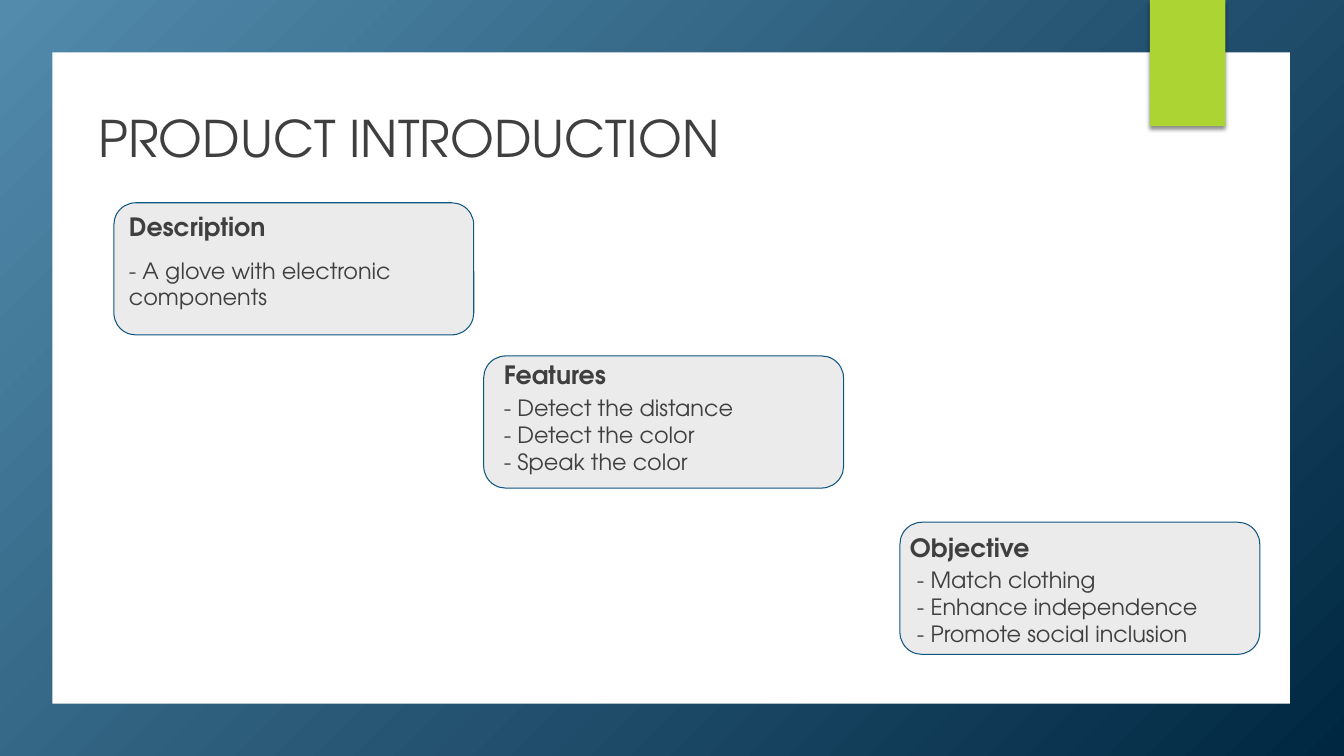
import pptx
import pptx.dml.color
import pptx.enum.shapes
import pptx.enum.text
import pptx.oxml.ns
import pptx.util
from lxml import etree
from pptx.util import Cm

FONT = "TeX Gyre Adventor"
COLORS = {
    "light_blue": "528BAC",
    "dark_blue": "002742",
    "panel": "FFFFFF",
    "ribbon": "ACD433",
    "card": "EBEBEB",
    "card_line": "0E5580",
    "text": "3F3F3F",
    "shadow": "000000",
}
INSET = Cm(0.25)
CARD_SIZE = Cm(9.07), Cm(3.33)
HEADING_SIZE = Cm(4.62), Cm(0.86)
BODY_SIZE = Cm(8.26), Cm(1.9)

# Top-left corners of the card, its heading and its body, in centimetres
CARDS = [
    ("Description", ["- A glove with electronic components"],
     (2.87, 5.11), (3.0, 5.08), (3.0, 6.22)),
    ("Features", ["- Detect the distance", "- Detect the color", "- Speak the color"],
     (12.19, 8.97), (12.45, 8.81), (12.45, 9.68)),
    ("Objective", ["- Match clothing", "- Enhance independence", "- Promote social inclusion"],
     (22.68, 13.16), (22.68, 13.16), (22.86, 14.02)),
]


def color(name):
    return pptx.dml.color.RGBColor.from_string(COLORS[name])


def add_xml(parent, tag, **attributes):
    element = etree.SubElement(parent, pptx.oxml.ns.qn(tag))
    for name, value in attributes.items():
        element.set(name, str(value))
    return element


def add_block(slide, kind, left, top, width, height, fill=None, line=None):
    shape = slide.shapes.add_shape(
        getattr(pptx.enum.shapes.MSO_SHAPE, kind), left, top, width, height)
    shape.shadow.inherit = False
    if fill:
        shape.fill.solid()
        shape.fill.fore_color.rgb = color(fill)
    if line:
        shape.line.color.rgb = color(line)
        shape.line.width = pptx.util.Pt(0.75)
    else:
        shape.line.fill.background()
    return shape


def write_text(shape, lines, size, bold=False, left_inset=INSET):
    frame = shape.text_frame
    frame.word_wrap = True
    frame.auto_size = pptx.enum.text.MSO_AUTO_SIZE.NONE
    frame.vertical_anchor = pptx.enum.text.MSO_ANCHOR.TOP
    frame.margin_left = left_inset
    frame.margin_top = frame.margin_right = frame.margin_bottom = INSET
    frame.text = "\n".join(lines)
    for paragraph in frame.paragraphs:
        paragraph.alignment = pptx.enum.text.PP_ALIGN.LEFT
        for run in paragraph.runs:
            run.font.name = FONT
            run.font.size = pptx.util.Pt(size)
            run.font.bold = bold
            run.font.color.rgb = color("text")


def add_backdrop(slide, width, height):
    backdrop = add_block(slide, "RECTANGLE", 0, 0, width, height)
    backdrop.fill.gradient()
    for stop, name in zip(backdrop.fill.gradient_stops, ("light_blue", "dark_blue")):
        stop.color.rgb = color(name)
    # Radial gradient spreading from the top-left corner
    gradient = backdrop.element.spPr.find(pptx.oxml.ns.qn("a:gradFill"))
    gradient.remove(gradient.find(pptx.oxml.ns.qn("a:lin")))
    circle = add_xml(gradient, "a:path", path="circle")
    add_xml(circle, "a:fillToRect", r=100000, b=100000)


def add_ribbon(slide):
    ribbon = add_block(slide, "RECTANGLE", Cm(28.98), 0, Cm(1.9), Cm(3.18), "ribbon")
    effects = ribbon.element.spPr.find(pptx.oxml.ns.qn("a:effectLst"))
    shadow = add_xml(effects, "a:outerShdw", blurRad=pptx.util.Pt(3),
                     dist=pptx.util.Pt(2), dir=90 * 60000, rotWithShape=0)
    shade = add_xml(shadow, "a:srgbClr", val=COLORS["shadow"])
    add_xml(shade, "a:alpha", val=45000)


def place_title(slide, text):
    title = slide.shapes.title
    title.left, title.top, title.width, title.height = Cm(1.88), Cm(2.46), Cm(27.84), Cm(2.06)
    write_text(title, [text], size=36, left_inset=Cm(0.6))
    # Bring the title in front of the panel
    title.element.getparent().append(title.element)


def add_label(slide, position, box_size, lines, **text_format):
    left, top = position
    box = slide.shapes.add_textbox(Cm(left), Cm(top), *box_size)
    write_text(box, lines, **text_format)


def main():
    presentation = pptx.Presentation()
    presentation.slide_width = Cm(33.87)
    presentation.slide_height = Cm(19.05)
    slide = presentation.slides.add_slide(presentation.slide_layouts[5])

    # Frame, white panel and ribbon
    add_backdrop(slide, presentation.slide_width, presentation.slide_height)
    add_block(slide, "RECTANGLE", Cm(1.32), Cm(1.32), Cm(31.19), Cm(16.41), "panel")
    add_ribbon(slide)

    place_title(slide, "PRODUCT INTRODUCTION")

    # Cards stepping down to the right
    for heading, lines, card_at, heading_at, body_at in CARDS:
        left, top = card_at
        add_block(slide, "ROUNDED_RECTANGLE", Cm(left), Cm(top), *CARD_SIZE,
                  fill="card", line="card_line")
        add_label(slide, heading_at, HEADING_SIZE, [heading], size=18, bold=True)
        add_label(slide, body_at, BODY_SIZE, lines, size=16)

    presentation.save("out.pptx")


if __name__ == "__main__":
    main()
